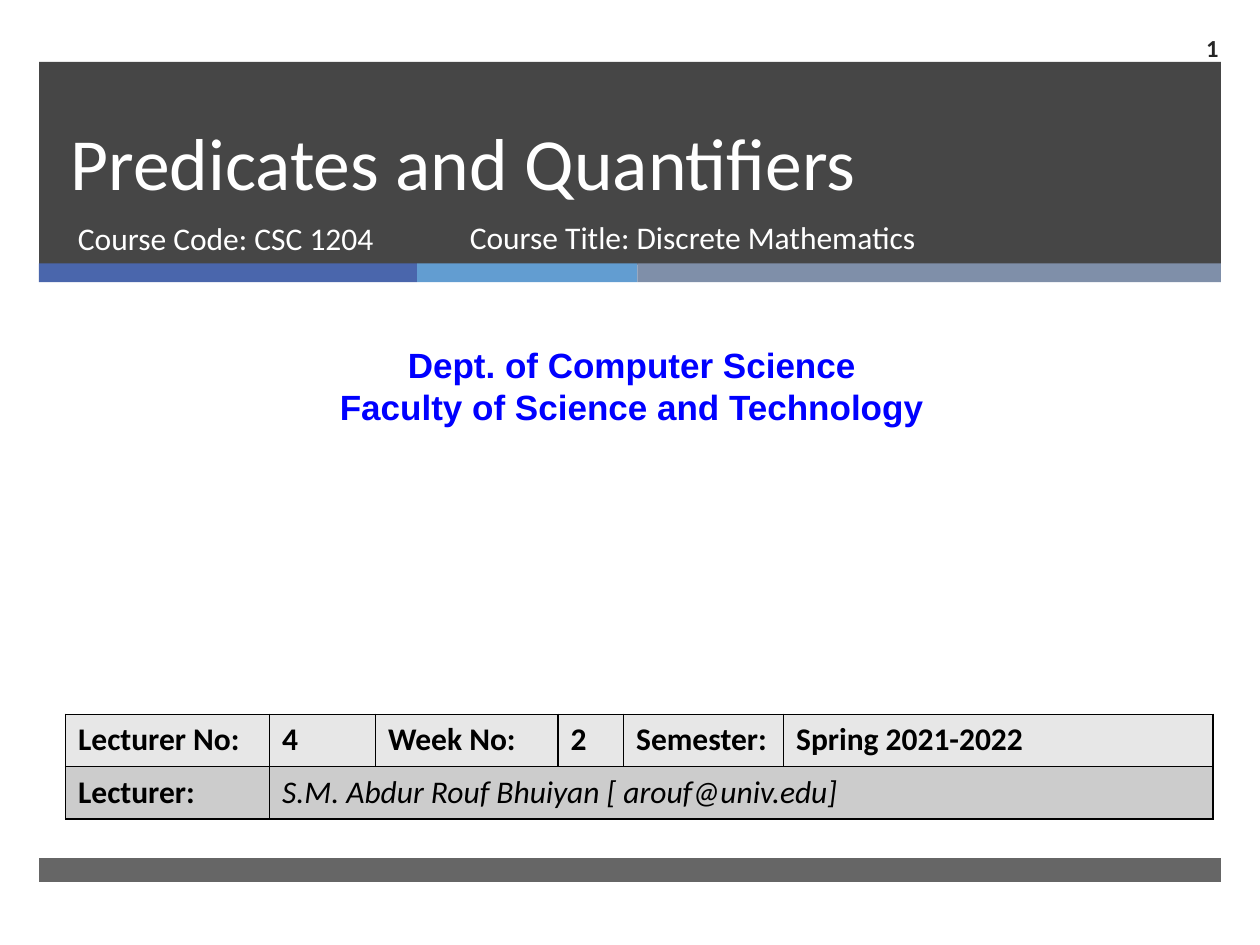
"""Build the opening slide of a lecture on predicates and quantifiers."""
from lxml.etree import SubElement
from pptx import Presentation
from pptx.dml.color import RGBColor as RGB
from pptx.enum.shapes import MSO_SHAPE as Shape
from pptx.enum.text import MSO_ANCHOR as Anchor, PP_ALIGN as Align
from pptx.oxml import parse_xml
from pptx.oxml.ns import nsdecls, qn
from pptx.util import Inches, Pt

WHITE = RGB(0xFF, 0xFF, 0xFF)
BLACK = RGB(0, 0, 0)
DARK = RGB(0x26, 0x26, 0x26)
INDIGO = RGB(0x4A, 0x66, 0xAC)
SKY = RGB(0x62, 0x9D, 0xD1)
SLATE = RGB(0x7F, 0x8F, 0xA9)
BLUE = RGB(0, 0, 0xFF)
PALE = RGB(0xE7, 0xE7, 0xE7)
GRAY = RGB(0xCC, 0xCC, 0xCC)


def style(frame, size, color, bold=False, align=Align.LEFT, font="Calibri"):
    for para in frame.paragraphs:
        para.alignment = align
        for run in para.runs:
            run.font.name = font
            run.font.size = Pt(size)
            run.font.bold = bold
            run.font.color.rgb = color


def add_text(box, text, anchor=Anchor.TOP):
    frame = slide.shapes.add_textbox(*map(Inches, box)).text_frame
    frame.word_wrap = True
    frame.vertical_anchor = anchor
    frame.text = text
    return frame


prs = Presentation()
prs.slide_width, prs.slide_height = Inches(10), Inches(7.5)
slide = prs.slides.add_slide(prs.slide_layouts[5])

bars = [
    (0.31, 0.49, 9.38, 1.61, DARK, 85),
    (0.31, 2.09, 3, 0.15, INDIGO, 100),
    (3.31, 2.09, 1.75, 0.15, SKY, 100),
    (5.06, 2.09, 4.63, 0.15, SLATE, 100),
    (0.31, 6.81, 9.38, 0.19, DARK, 70),
]
for *box, color, alpha in bars:
    bar = slide.shapes.add_shape(Shape.RECTANGLE, *map(Inches, box))
    bar.shadow.inherit = False
    bar.line.fill.background()
    bar.fill.solid()
    bar.fill.fore_color.rgb = color
    if alpha < 100:
        tint = bar.fill._xPr.find(".//" + qn("a:srgbClr"))
        SubElement(tint, qn("a:alpha")).set("val", str(alpha * 1000))

title = slide.shapes.title
slide.shapes._spTree.append(title._element)
title.left, title.top = Inches(0.46), Inches(0.49)
title.width, title.height = Inches(8.54), Inches(1.19)
title.text_frame.text = "Predicates and Quantifiers"
title.text_frame.vertical_anchor = Anchor.BOTTOM
title.text_frame.paragraphs[0].line_spacing = Pt(46)
style(title.text_frame, 42, WHITE)

code = add_text((0.52, 1.69, 3.05, 0.53), "Course Code: CSC 1204")
style(code, 18, WHITE)
course = add_text((3.63, 1.68, 4.55, 0.53), "Course Title: Discrete Mathematics")
style(course, 18, WHITE)
dept = add_text((0.08, 2.68, 9.87, 0.77),
                "Dept. of Computer Science\nFaculty of Science and Technology")
style(dept, 20, BLUE, True, Align.CENTER, "Arial")
number = add_text((9.08, 0.18, 0.69, 0.39), "1", Anchor.MIDDLE)
style(number, 14, DARK, True, Align.RIGHT)

rows = [
    ["Lecturer No:", "4", "Week No:", "2", "Semester:", "Spring 2021-2022"],
    ["Lecturer:", "S.M. Abdur Rouf Bhuiyan [ arouf@univ.edu]", "", "", "", ""],
]
widths = [1.62, 0.84, 1.45, 0.52, 1.27, 3.41]
table = slide.shapes.add_table(
    2, 6, Inches(0.52), Inches(5.67), Inches(9.12), Inches(0.83)).table
table.first_row = table.horz_banding = False
for col, width in zip(table.columns, widths):
    col.width = Inches(width)
for row, texts, shade in zip(table.rows, rows, (PALE, GRAY)):
    for cell, text in zip(row.cells, texts):
        cell.text = text
        style(cell.text_frame, 18, BLACK, True)
        cell.fill.solid()
        cell.fill.fore_color.rgb = shade
        props = cell._tc.get_or_add_tcPr()
        for spot, side in enumerate("LRTB"):
            props.insert(spot, parse_xml(
                f'<a:ln{side} {nsdecls("a")} w="12700"><a:solidFill>'
                f'<a:srgbClr val="{BLACK}"/></a:solidFill></a:ln{side}>'))
name = table.cell(1, 1)
name.merge(table.cell(1, 5))
font = name.text_frame.paragraphs[0].runs[0].font
font.bold, font.italic = False, True

prs.save("out.pptx")
